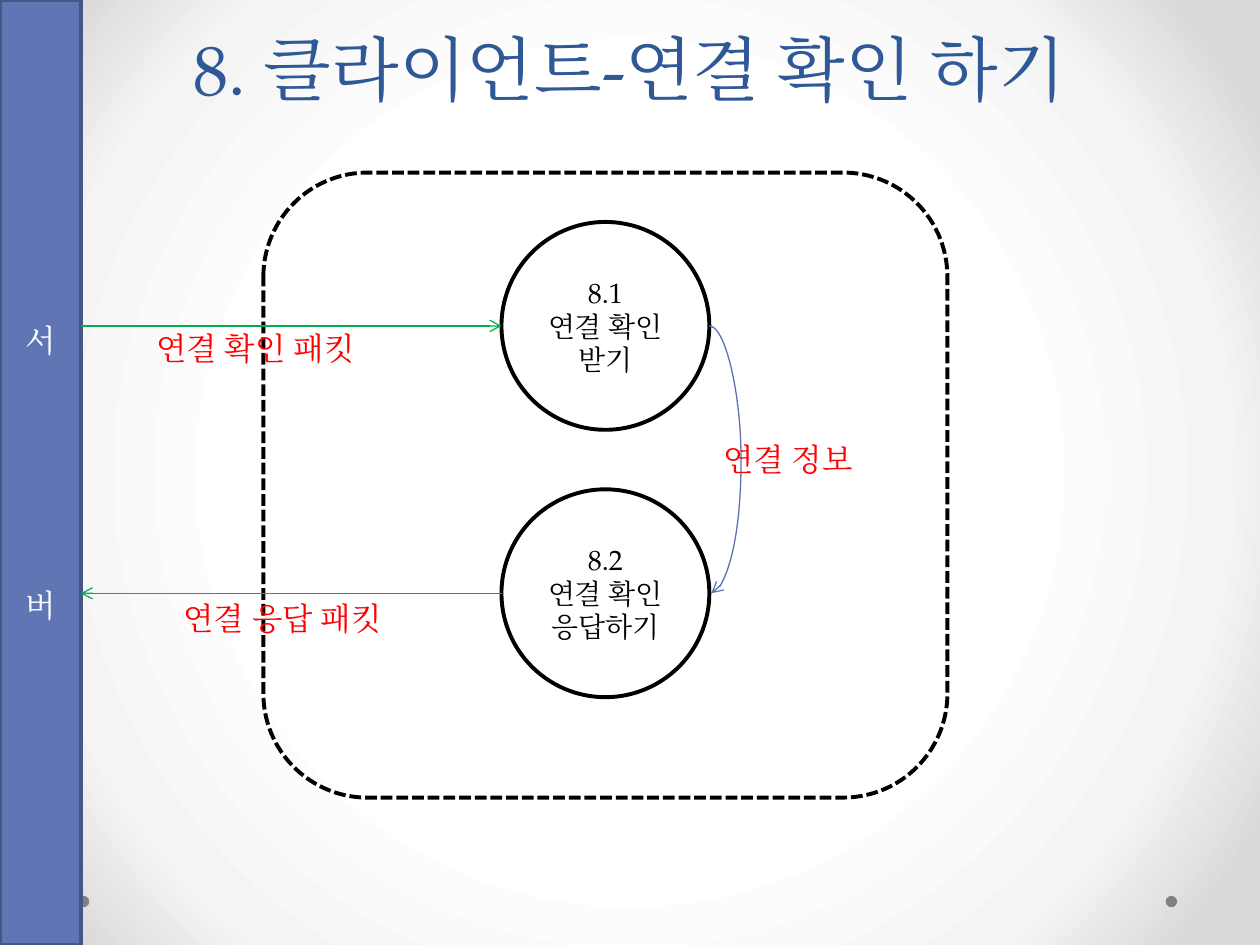
from dataclasses import dataclass

from pptx import Presentation
from pptx.dml.color import RGBColor
from pptx.enum.dml import MSO_LINE
from pptx.enum.shapes import MSO_CONNECTOR, MSO_SHAPE
from pptx.enum.text import MSO_ANCHOR, MSO_AUTO_SIZE, PP_ALIGN
from pptx.oxml import parse_xml
from pptx.oxml.ns import nsdecls, qn
from pptx.oxml.xmlchemy import OxmlElement
from pptx.util import Cm, Pt

OVAL, RECT, ROUNDED = MSO_SHAPE.OVAL, MSO_SHAPE.RECTANGLE, MSO_SHAPE.ROUNDED_RECTANGLE
STRAIGHT, CURVE = MSO_CONNECTOR.STRAIGHT, MSO_CONNECTOR.CURVE
TOP, MIDDLE, BOTTOM = MSO_ANCHOR.TOP, MSO_ANCHOR.MIDDLE, MSO_ANCHOR.BOTTOM
LEFT, CENTER = PP_ALIGN.LEFT, PP_ALIGN.CENTER
FIT_SHAPE = MSO_AUTO_SIZE.SHAPE_TO_FIT_TEXT
DASHED = MSO_LINE.SQUARE_DOT


@dataclass(frozen=True)
class Theme:
    font: str = "TeX Gyre Pagella"
    title_size: int = 40
    label_size: int = 18
    step_size: int = 16
    title: str = "2F5897"
    label: str = "FF0000"
    ink: str = "000000"
    paper: str = "FFFFFF"
    bar: str = "6076B4"
    bar_edge: str = "475785"
    packet: str = "00B050"
    flow: str = "5C72B2"
    dot: str = "808080"
    backdrop: tuple = ((50, "FFFFFF"), (76, "F4F4F4"), (92, "DADADA"))


theme = Theme()


def write_text(shape, text, size, color, align=CENTER, anchor=MIDDLE,
               inset=None, gap=0, spacing=None):
    frame = shape.text_frame
    frame.word_wrap = True
    frame.vertical_anchor = anchor
    if inset is not None:
        frame.margin_left = frame.margin_right = Cm(inset)
        frame.margin_top = frame.margin_bottom = Cm(inset)
    for index, line in enumerate(text.split("\n")):
        para = frame.add_paragraph() if index else frame.paragraphs[0]
        para.alignment = align
        if index and gap:
            para.space_before = Pt(gap)
        if spacing:
            para.line_spacing = Pt(spacing)
        span = para.add_run()
        span.text = line
        span.font.size = Pt(size)
        span.font.color.rgb = RGBColor.from_string(color)
        span.font.name = theme.font
        asian = OxmlElement("a:ea")
        asian.set("typeface", theme.font)
        span.font.fill
        span._r.get_or_add_rPr().find(qn("a:latin")).addnext(asian)


def add_figure(preset, left, top, width, height, fill=None, line=None):
    shape = page.shapes.add_shape(preset, Cm(left), Cm(top), Cm(width), Cm(height))
    shape.shadow.inherit = False
    if fill:
        shape.fill.solid()
        shape.fill.fore_color.rgb = RGBColor.from_string(fill)
    else:
        shape.fill.background()
    if line:
        shape.line.color.rgb = RGBColor.from_string(line)
        shape.line.width = Pt(2.25)
    else:
        shape.line.fill.background()
    return shape


deck = Presentation()
deck.slide_width, deck.slide_height = Cm(25.4), Cm(19.05)
page = deck.slides.add_slide(deck.slide_layouts[6])

page.background.fill.gradient()
stops = "".join(
    f'<a:gs pos="{place * 1000}"><a:srgbClr val="{color}"/></a:gs>'
    for place, color in theme.backdrop
)
gradient = page.element.find(".//" + qn("a:gradFill"))
gradient.getparent().replace(gradient, parse_xml(
    f'<a:gradFill rotWithShape="1" {nsdecls("a")}><a:gsLst>{stops}</a:gsLst>'
    '<a:path path="circle"><a:fillToRect l="50000" t="50000" r="50000" b="50000"/>'
    "</a:path></a:gradFill>"
))

for dot_left in (23.5, 1.57):
    add_figure(OVAL, dot_left, 18.06, 0.23, 0.23, fill=theme.dot)

title_box = page.shapes.add_textbox(Cm(1.27), Cm(0), Cm(22.86), Cm(2.34))
write_text(title_box, "8. 클라이언트-연결 확인 하기", theme.title_size, theme.title,
           anchor=BOTTOM, spacing=58)

client_frame = add_figure(ROUNDED, 5.31, 3.48, 13.79, 12.6, line=theme.ink)
client_frame.line.dash_style = DASHED

bar_width = 1.63
server_bar = add_figure(RECT, 0, 0, bar_width, 19.05, theme.bar, theme.bar_edge)
write_text(server_bar, "서\n버", theme.label_size, theme.paper, gap=130)

circle_left, circle_size = 10.11, 4.19
circle_right = circle_left + circle_size
receive_y, reply_y = 6.57, 11.96
for text, center_y in (("8.1\n연결 확인 받기", receive_y), ("8.2\n연결 확인 응답하기", reply_y)):
    circle = add_figure(OVAL, circle_left, center_y - circle_size / 2,
                        circle_size, circle_size, theme.paper, theme.ink)
    write_text(circle, text, theme.step_size, theme.ink, inset=0.1)

arrows = (
    (STRAIGHT, bar_width, receive_y, circle_left, receive_y, theme.packet),
    (STRAIGHT, circle_left, reply_y, bar_width, reply_y, theme.packet),
    (CURVE, circle_right, receive_y, circle_right + 0.04, reply_y, theme.flow),
)
for kind, start_x, start_y, end_x, end_y, color in arrows:
    arrow = page.shapes.add_connector(kind, Cm(start_x), Cm(start_y), Cm(end_x), Cm(end_y))
    arrow.line.color.rgb = RGBColor.from_string(color)
    arrow.line.width = Pt(0.75)
    tip = OxmlElement("a:tailEnd")
    tip.set("type", "arrow")
    arrow.line._get_or_add_ln().append(tip)
    properties = arrow._element.spPr
    properties.append(OxmlElement("a:effectLst"))
    if kind == CURVE:
        bulge = OxmlElement("a:gd")
        bulge.set("name", "adj1")
        bulge.set("fmla", "val 1600000")
        properties.find(qn("a:prstGeom")).get_or_add_avLst().append(bulge)

labels = (
    ("연결 확인 패킷", 2.9, 6.5, 4.8),
    ("연결 정보", 14.33, 8.74, 3.81),
    ("연결 응답 패킷", 3.45, 11.96, 4.8),
)
for text, left, top, width in labels:
    label_box = page.shapes.add_textbox(Cm(left), Cm(top), Cm(width), Cm(1.02))
    write_text(label_box, text, theme.label_size, theme.label, align=LEFT, anchor=TOP)
    label_box.text_frame.auto_size = FIT_SHAPE

deck.save("out.pptx")
